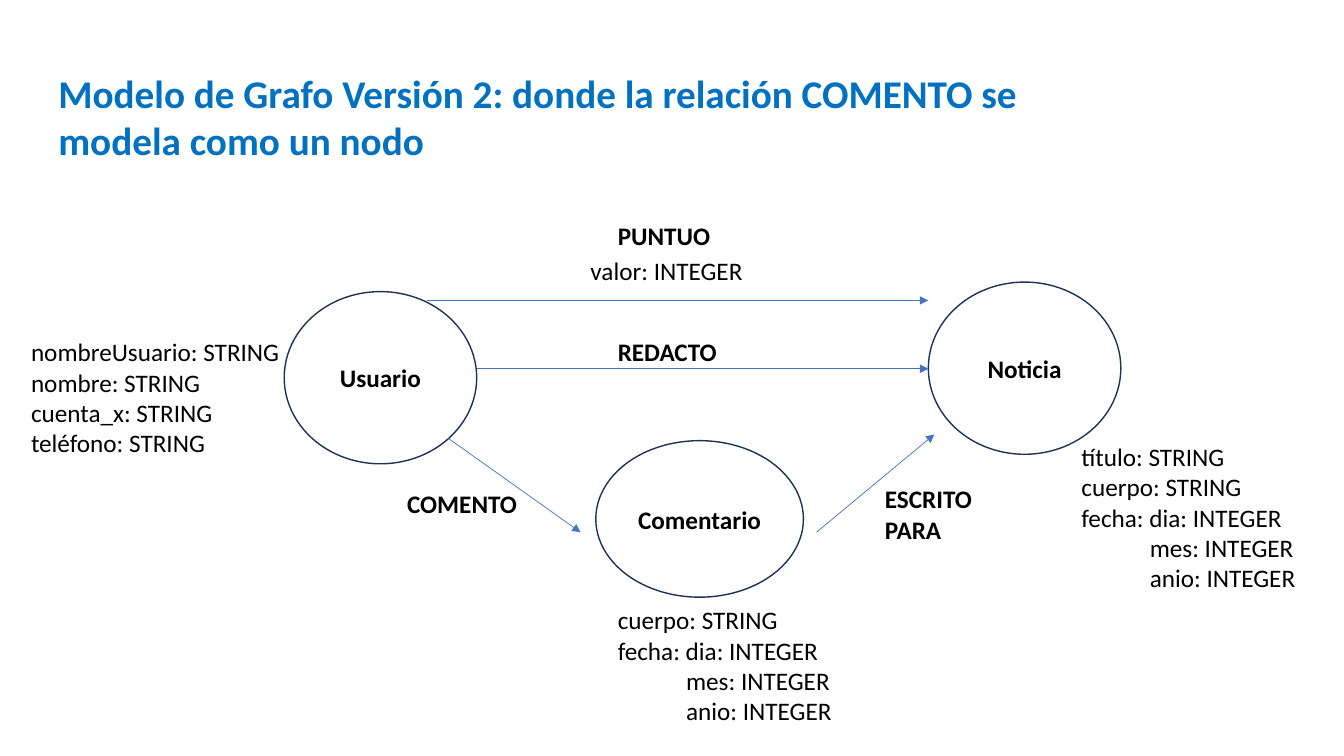
from typing import NamedTuple

from lxml import etree
from pptx import Presentation
from pptx.dml.color import RGBColor
from pptx.enum.shapes import MSO_CONNECTOR, MSO_SHAPE
from pptx.enum.text import MSO_ANCHOR, MSO_AUTO_SIZE, PP_ALIGN
from pptx.oxml.ns import qn
from pptx.slide import Slide
from pptx.text.text import TextFrame
from pptx.util import Pt

ELLIPSE = MSO_SHAPE.OVAL
STRAIGHT = MSO_CONNECTOR.STRAIGHT
MIDDLE = MSO_ANCHOR.MIDDLE
CENTER = PP_ALIGN.CENTER
GROW = MSO_AUTO_SIZE.SHAPE_TO_FIT_TEXT

BLACK = RGBColor(0x00, 0x00, 0x00)
TITLE_BLUE = RGBColor(0x00, 0x70, 0xC0)
NODE_OUTLINE = RGBColor(0x1E, 0x32, 0x56)
ARROW_BLUE = RGBColor(0x44, 0x72, 0xC4)

FONT = "Calibri"
BODY_SIZE = 18
TITLE_SIZE = 28
DATE_PART_INDENT = 48.8


class Box(NamedTuple):
    left: float
    top: float
    width: float
    height: float


class Node(NamedTuple):
    name: str
    box: Box


class Label(NamedTuple):
    lines: list[str]
    box: Box
    bold: bool = False
    wrap: bool = True
    size: float = BODY_SIZE
    color: RGBColor = BLACK


class Arrow(NamedTuple):
    start: tuple[float, float]
    end: tuple[float, float]


DATE_PARTS = ["mes: INTEGER", "anio: INTEGER"]
COMMENT_PROPERTIES = ["cuerpo: STRING", "fecha: dia: INTEGER", *DATE_PARTS]
USER_PROPERTIES = [
    "nombreUsuario: STRING",
    "nombre: STRING",
    "cuenta_x: STRING",
    "teléfono: STRING",
]

NODES = [
    Node("Usuario", Box(203, 208.3, 137.5, 123)),
    Node("Noticia", Box(663.1, 201.5, 137.5, 123)),
    Node("Comentario", Box(425.6, 314.8, 148.3, 111.8)),
]

LABELS = [
    Label(
        ["Modelo de Grafo Versión 2: donde la relación COMENTO se modela como un nodo"],
        Box(34.6, 46.1, 766, 75),
        bold=True,
        size=TITLE_SIZE,
        color=TITLE_BLUE,
    ),
    Label(USER_PROPERTIES, Box(15.1, 237, 194.4, 116.6)),
    Label(["título: STRING", *COMMENT_PROPERTIES], Box(765.4, 311.8, 194.4, 138.2)),
    Label(COMMENT_PROPERTIES, Box(434.2, 428.4, 194.4, 116.6)),
    Label(["valor: INTEGER"], Box(414.7, 178.6, 139, 51.1)),
    Label(["PUNTUO"], Box(434.2, 154.1, 81.4, 29), bold=True, wrap=False),
    Label(["REDACTO"], Box(434.2, 237, 85.7, 29), bold=True, wrap=False),
    Label(["COMENTO"], Box(283.7, 345, 93.6, 29), bold=True, wrap=False),
    Label(["ESCRITO PARA"], Box(625, 342, 84.2, 51.1), bold=True),
]

ARROWS = [
    Arrow((305.3, 214.6), (663.1, 214.6)),
    Arrow((340.5, 263.4), (663.1, 263.4)),
    Arrow((320.4, 313.2), (414.7, 380.2)),
    Arrow((583.2, 380.2), (667.4, 310.3)),
]


def format_text(text_frame: TextFrame, size: float, color: RGBColor, bold: bool) -> None:
    for paragraph in text_frame.paragraphs:
        for run in paragraph.runs:
            run.font.name = FONT
            run.font.size = Pt(size)
            run.font.bold = bold
            run.font.color.rgb = color


def add_node(slide: Slide, node: Node) -> None:
    shape = slide.shapes.add_shape(ELLIPSE, *map(Pt, node.box))
    shape.shadow.inherit = False
    shape.fill.background()
    shape.line.color.rgb = NODE_OUTLINE
    shape.line.width = Pt(1)
    text_frame = shape.text_frame
    text_frame.text = node.name
    text_frame.vertical_anchor = MIDDLE
    text_frame.paragraphs[0].alignment = CENTER
    format_text(text_frame, BODY_SIZE, BLACK, bold=True)


def add_label(slide: Slide, label: Label) -> None:
    """Add a text box, indenting the lines that continue a date."""
    text_frame = slide.shapes.add_textbox(*map(Pt, label.box)).text_frame
    text_frame.text = "\n".join(label.lines)
    text_frame.word_wrap = label.wrap
    text_frame.auto_size = GROW
    format_text(text_frame, label.size, label.color, label.bold)
    for paragraph in text_frame.paragraphs:
        if paragraph.text in DATE_PARTS:
            properties = paragraph._p.get_or_add_pPr()
            properties.set("marL", str(Pt(DATE_PART_INDENT)))
            properties.set("indent", "0")


def add_arrow(slide: Slide, arrow: Arrow) -> None:
    connector = slide.shapes.add_connector(STRAIGHT, *map(Pt, arrow.start + arrow.end))
    connector.line.color.rgb = ARROW_BLUE
    connector.line.width = Pt(0.5)
    etree.SubElement(connector.line._get_or_add_ln(), qn("a:tailEnd"), type="triangle")
    etree.SubElement(connector._element.spPr, qn("a:effectLst"))


def main() -> None:
    presentation = Presentation()
    presentation.slide_width = Pt(960)
    presentation.slide_height = Pt(540)
    slide = presentation.slides.add_slide(presentation.slide_layouts[6])
    for node in NODES:
        add_node(slide, node)
    for arrow in ARROWS:
        add_arrow(slide, arrow)
    for label in LABELS:
        add_label(slide, label)
    presentation.save("out.pptx")


if __name__ == "__main__":
    main()
